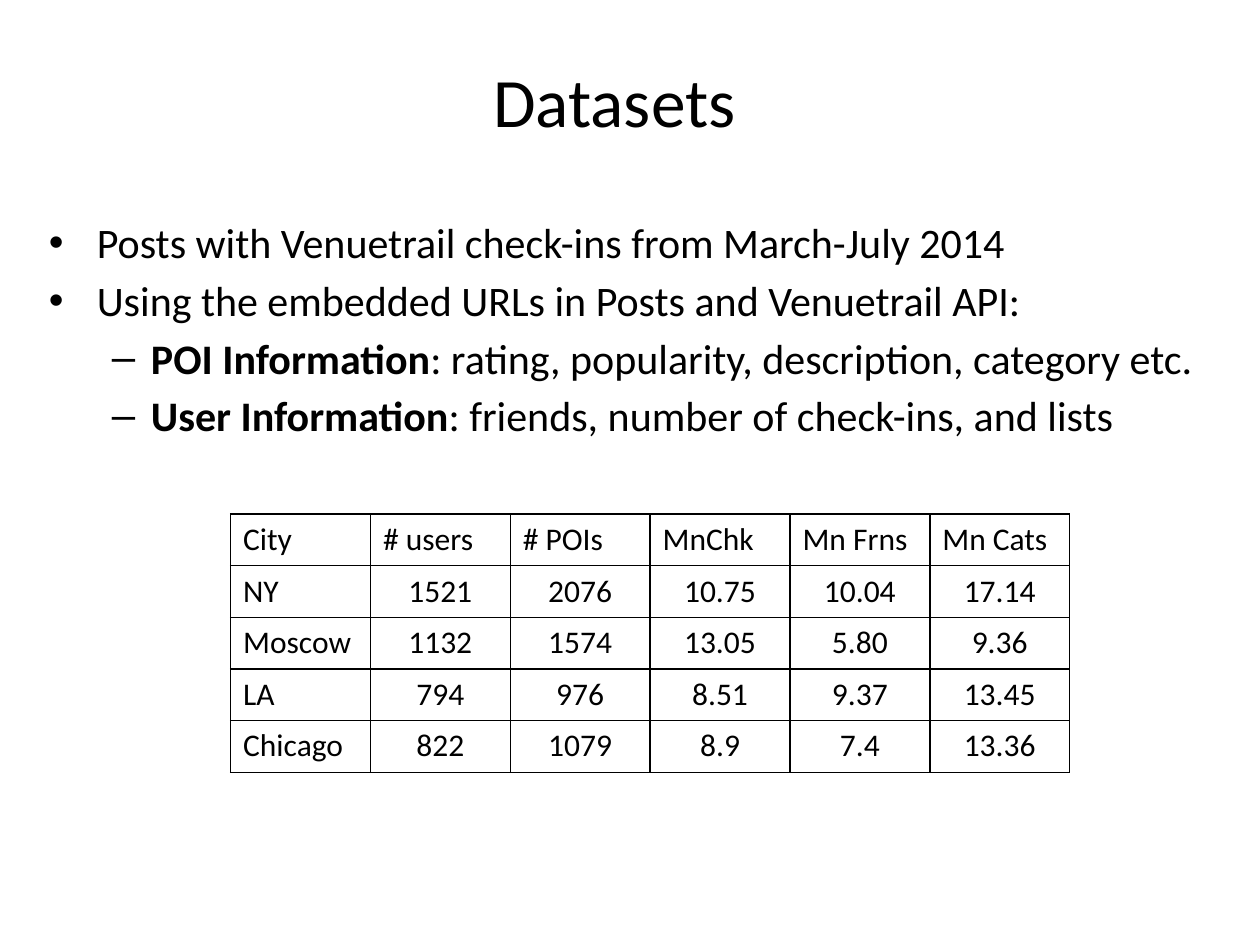
import pptx
import pptx.dml.color
import pptx.enum.text
import pptx.oxml
import pptx.oxml.ns
import pptx.util
from pptx.util import Inches

COLORS = {"ink": "000000", "paper": "FFFFFF"}
FONT = "Calibri"
ALIGN = pptx.enum.text.PP_ALIGN

# Content
TITLE = "Datasets"
# (level, bold lead, rest)
POINTS = [
    (0, "", "Posts with Venuetrail check-ins from March-July 2014"),
    (0, "", "Using the embedded URLs in Posts and Venuetrail API:"),
    (1, "POI Information", ": rating, popularity, description, category etc."),
    (1, "User Information", ": friends, number of check-ins, and lists"),
]
# level: (bullet, left margin, hanging indent)
LEVELS = {0: ("•", 0.38, -0.38), 1: ("–", 0.81, -0.31)}
CITY_STATS = [
    ("City", "# users", "# POIs", "MnChk", "Mn Frns", "Mn Cats"),
    ("NY", "1521", "2076", "10.75", "10.04", "17.14"),
    ("Moscow", "1132", "1574", "13.05", "5.80", "9.36"),
    ("LA", "794", "976", "8.51", "9.37", "13.45"),
    ("Chicago", "822", "1079", "8.9", "7.4", "13.36"),
]
COLUMN_WIDTH, ROW_HEIGHT = 1.11, 0.41


def rgb(name):
    return pptx.dml.color.RGBColor.from_string(COLORS[name])


def style(font, size, bold=False):
    font.name, font.size, font.bold = FONT, pptx.util.Pt(size), bold
    font.color.rgb = rgb("ink")


def add_xml(parent, xml):
    namespace = pptx.oxml.ns.nsdecls("a")
    parent.append(pptx.oxml.parse_xml(xml.replace("NS", namespace, 1)))


def add_bullet(paragraph, level):
    mark, margin, indent = LEVELS[level]
    properties = paragraph._p.get_or_add_pPr()
    properties.set("marL", str(Inches(margin)))
    properties.set("indent", str(Inches(indent)))
    add_xml(properties, '<a:buFont NS typeface="Arial"/>')
    add_xml(properties, f'<a:buChar NS char="{mark}"/>')


def add_borders(cell):
    properties = cell._tc.get_or_add_tcPr()
    for side in ("lnL", "lnR", "lnT", "lnB"):
        add_xml(properties, f'<a:{side} NS w="12700"><a:solidFill>'
                f'<a:srgbClr val="{COLORS["ink"]}"/></a:solidFill></a:{side}>')


def add_frame(slide, left, top, width, height):
    frame = slide.shapes.add_textbox(
        Inches(left), Inches(top), Inches(width), Inches(height)).text_frame
    frame.word_wrap = True
    return frame


def add_title(slide):
    title = add_frame(slide, 1.35, 0.5, 7.05, 0.58)
    title.vertical_anchor = pptx.enum.text.MSO_ANCHOR.MIDDLE
    title.text = TITLE
    title.paragraphs[0].alignment = ALIGN.CENTER
    style(title.paragraphs[0].runs[0].font, 39.6)


def add_points(slide):
    body = add_frame(slide, 0.29, 1.67, 9.5, 4.15)
    for i, (level, lead, rest) in enumerate(POINTS):
        paragraph = body.add_paragraph() if i else body.paragraphs[0]
        paragraph.level = level
        paragraph.alignment = ALIGN.JUSTIFY
        if i:
            paragraph.space_before = pptx.util.Pt(4.2)
        add_bullet(paragraph, level)
        for text, bold in ((lead, True), (rest, False)):
            if text:
                run = paragraph.add_run()
                run.text = text
                style(run.font, 24, bold)


def add_city_table(slide):
    rows, columns = len(CITY_STATS), len(CITY_STATS[0])
    stats = slide.shapes.add_table(
        rows, columns, Inches(1.83), Inches(4.08),
        Inches(columns * COLUMN_WIDTH), Inches(rows * ROW_HEIGHT)).table
    for column in stats.columns:
        column.width = Inches(COLUMN_WIDTH)
    for r, record in enumerate(CITY_STATS):
        stats.rows[r].height = Inches(ROW_HEIGHT)
        for c, value in enumerate(record):
            cell = stats.cell(r, c)
            add_borders(cell)
            cell.fill.solid()
            cell.fill.fore_color.rgb = rgb("paper")
            cell.text_frame.text = value
            paragraph = cell.text_frame.paragraphs[0]
            paragraph.alignment = ALIGN.CENTER if r and c else ALIGN.LEFT
            style(paragraph.runs[0].font, 18)


def main():
    deck = pptx.Presentation()
    deck.slide_width, deck.slide_height = Inches(10), Inches(7.5)
    slide = deck.slides.add_slide(deck.slide_layouts[6])
    add_title(slide)
    add_points(slide)
    add_city_table(slide)
    deck.save("out.pptx")


if __name__ == "__main__":
    main()
